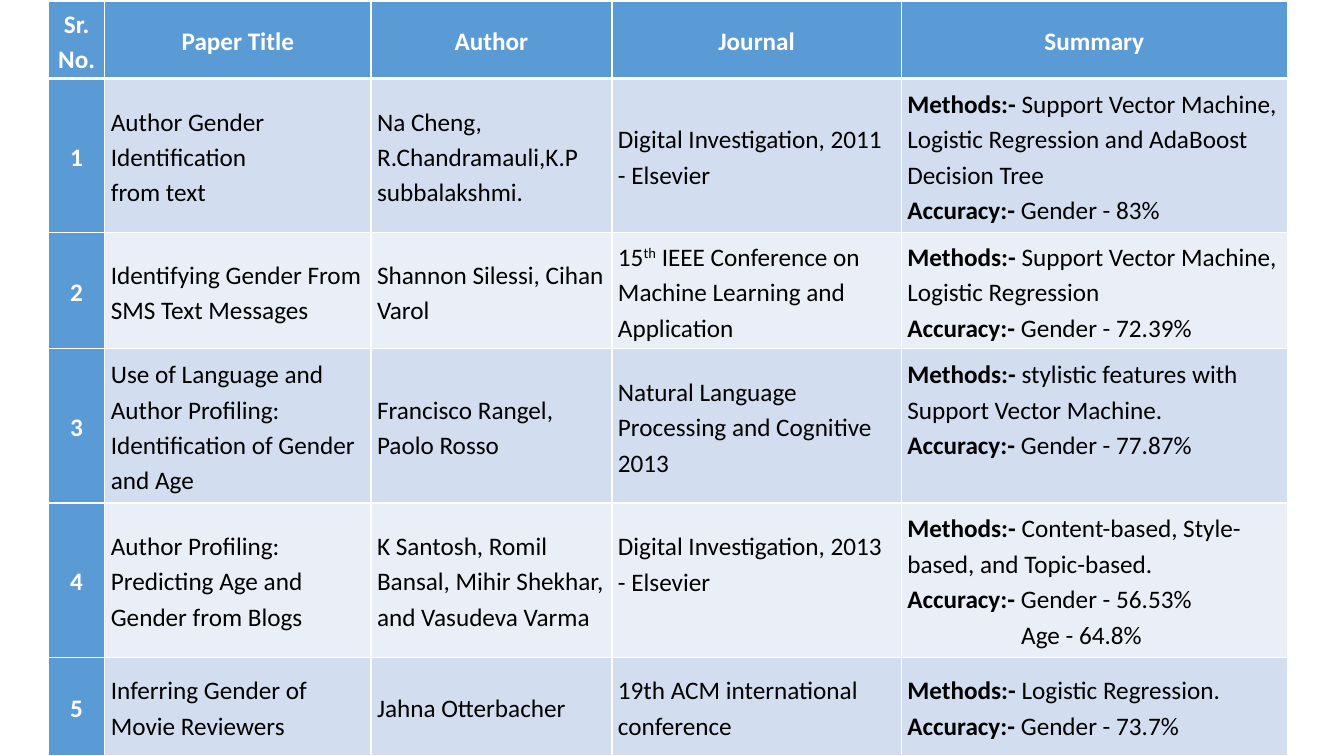
from lxml import etree
from pptx import Presentation
from pptx import util as u
from pptx.dml import color
from pptx.enum import text
from pptx.oxml import ns

COLUMN_WIDTHS = [0.56, 2.64, 2.39, 2.87, 3.83]
ROW_HEIGHTS = [0.77, 1.53, 1.15, 1.53, 1.53, 0.98]
HEADINGS = ["Sr. No.", "Paper Title", "Author", "Journal", "Summary"]
PAPERS = [
    ["1", "Author Gender Identification\nfrom text",
     "Na Cheng, R.Chandramauli,K.P subbalakshmi.",
     "Digital Investigation, 2011 - Elsevier",
     "Methods:-| Support Vector Machine, Logistic Regression and AdaBoost Decision Tree\n"
     "Accuracy:-| Gender - 83%"],
    ["2", "Identifying Gender From SMS Text Messages",
     "Shannon Silessi, Cihan Varol",
     "15|th| IEEE Conference on Machine Learning and Application",
     "Methods:-| Support Vector Machine, Logistic Regression\nAccuracy:-| Gender - 72.39%"],
    ["3", "Use of Language and Author Profiling:\nIdentification of Gender and Age",
     "Francisco Rangel, Paolo Rosso",
     "Natural Language Processing and Cognitive 2013",
     "Methods:-| stylistic features with Support Vector Machine.\nAccuracy:-| Gender - 77.87%"],
    ["4", "Author Profiling: Predicting Age and Gender from Blogs",
     "K Santosh, Romil Bansal, Mihir Shekhar, and Vasudeva Varma",
     "Digital Investigation, 2013 - Elsevier",
     "Methods:-| Content-based, Style-based, and Topic-based.\n"
     "Accuracy:-| Gender - 56.53%\nAge - 64.8%"],
    ["5", "Inferring Gender of Movie Reviewers",
     "Jahna Otterbacher",
     "19th ACM international conference",
     "Methods:-| Logistic Regression.\nAccuracy:-| Gender - 73.7%"],
]
RAISED_CELLS = {(3, 4), (4, 3)}


def rgb(value):
    """Turn a hex string into a colour."""
    return color.RGBColor.from_string(value)


class SurveySlide:
    """Holds the table style and the current slide."""

    font, size = "Calibri", 18
    accent, bands = "5B9BD5", ("EAEFF7", "D2DEEF")
    light, dark = "FFFFFF", "000000"
    line_height = 0.35

    def __init__(self, presentation):
        """Add a blank slide."""
        self.slide = presentation.slides.add_slide(presentation.slide_layouts[6])

    def table(self, left, top, widths, heights, rows):
        """Add the table and fill its cells."""
        frame = self.slide.shapes.add_table(
            len(rows), len(widths), u.Inches(left), u.Inches(top),
            u.Inches(sum(widths)), u.Inches(sum(heights)))
        table = frame.table
        for column, width in zip(table.columns, widths):
            column.width = u.Inches(width)
        for row, height in zip(table.rows, heights):
            row.height = u.Inches(height)
        for i, row in enumerate(rows):
            for j, content in enumerate(row):
                self.cell(table.cell(i, j), i, j, content)

    def cell(self, cell, row, column, content):
        """Style one cell and write its paragraphs."""
        heading = row == 0 or column == 0
        cell.margin_left = cell.margin_right = u.Inches(0.06)
        cell.margin_top = 0
        cell.margin_bottom = u.Inches(self.line_height if (row, column) in RAISED_CELLS else 0)
        cell.vertical_anchor = text.MSO_ANCHOR.MIDDLE
        self.borders(cell, top=3 if row == 1 else 1, bottom=3 if row == 0 else 1)
        cell.fill.solid()
        cell.fill.fore_color.rgb = rgb(self.accent if heading else self.bands[row % 2])
        cell.text_frame.text = content.replace("|", "")
        for paragraph, line in zip(cell.text_frame.paragraphs, content.split("\n")):
            self.paragraph(paragraph, line, heading)

    def borders(self, cell, top, bottom):
        """Draw white lines around a cell."""
        properties = cell._tc.get_or_add_tcPr()
        for side, width in (("L", 1), ("R", 1), ("T", top), ("B", bottom)):
            line = etree.SubElement(properties, ns.qn(f"a:ln{side}"), w=str(u.Pt(width)))
            fill = etree.SubElement(line, ns.qn("a:solidFill"))
            etree.SubElement(fill, ns.qn("a:srgbClr"), val=self.light)

    def paragraph(self, paragraph, line, heading):
        """Write a line whose runs are parted by bars."""
        paragraph.line_spacing = 1.15
        paragraph.alignment = text.PP_ALIGN.CENTER if heading else text.PP_ALIGN.LEFT
        if line.startswith("Age"):
            paragraph._p.get_or_add_pPr().set("marL", str(u.Inches(1.13)))
        pieces = line.split("|")
        while len(paragraph.runs) < len(pieces):
            paragraph.add_run()
        for run, piece in zip(paragraph.runs, pieces):
            run.text = piece
            run.font.name = self.font
            run.font.size = u.Pt(self.size)
            run.font.bold = heading or piece.endswith(":-")
            run.font.color.rgb = rgb(self.light if heading else self.dark)
            if piece == "th":
                run.font._element.set("baseline", "30000")


def main():
    """Build and save the slide."""
    presentation = Presentation()
    presentation.slide_width = u.Inches(13.33)
    presentation.slide_height = u.Inches(7.5)
    survey = SurveySlide(presentation)
    survey.table(0.48, 0.01, COLUMN_WIDTHS, ROW_HEIGHTS, [HEADINGS] + PAPERS)
    presentation.save("out.pptx")


if __name__ == "__main__":
    main()
